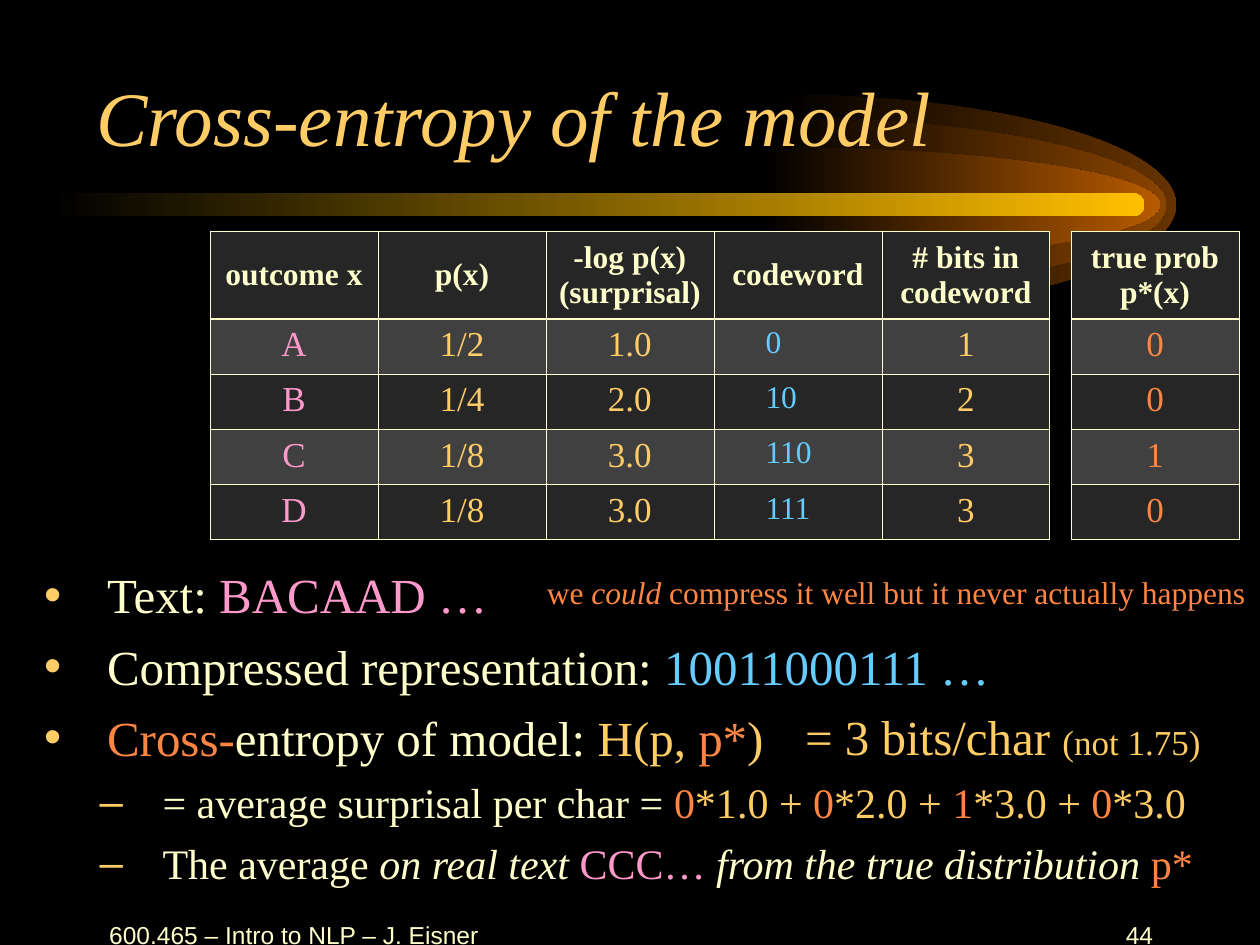
from lxml import etree
from pptx import Presentation
from pptx.dml.color import RGBColor
from pptx.enum.shapes import MSO_SHAPE
from pptx.enum.text import MSO_ANCHOR, MSO_AUTO_SIZE, PP_ALIGN
from pptx.oxml.ns import qn
from pptx.util import Inches, Pt

ROUNDED = MSO_SHAPE.ROUNDED_RECTANGLE
TOP, MIDDLE, BOTTOM = MSO_ANCHOR.TOP, MSO_ANCHOR.MIDDLE, MSO_ANCHOR.BOTTOM
LEFT, CENTER, RIGHT = PP_ALIGN.LEFT, PP_ALIGN.CENTER, PP_ALIGN.RIGHT
NO_FIT = MSO_AUTO_SIZE.NONE

BLACK = RGBColor(0x00, 0x00, 0x00)
CREAM = RGBColor(0xFF, 0xFF, 0xCC)
GOLD = RGBColor(0xFF, 0xCC, 0x66)
PINK = RGBColor(0xFF, 0x99, 0xCC)
BLUE = RGBColor(0x66, 0xCC, 0xFF)
ORANGE = RGBColor(0xFF, 0x85, 0x42)
DARK_ROW = RGBColor(0x26, 0x26, 0x26)
LIGHT_ROW = RGBColor(0x40, 0x40, 0x40)
BAR_GOLD = RGBColor(0xFF, 0xBF, 0x00)
GLOW_BROWN = RGBColor(0x66, 0x33, 0x00)
GLOW_RUST = RGBColor(0x89, 0x44, 0x00)
GLOW_AMBER = RGBColor(0xB7, 0x5B, 0x00)

SERIF, SANS = "Times New Roman", "Arial"

# The slide is a grid of 120 columns and 90 rows, twelve to the inch
COLUMNS, ROWS = 120, 90
TABLE_TOP, TABLE_COLUMN = 22, 16
HEADER_ROW, OUTCOME_ROW = 8.4, 5.25

OUTCOME_HEADERS = ["outcome x", "p(x)", "-log p(x)\n(surprisal)", "codeword",
                   "# bits in codeword"]
OUTCOMES = [
    ["A", "1/2", "1.0", "0", "1"],
    ["B", "1/4", "2.0", "10", "2"],
    ["C", "1/8", "3.0", "110", "3"],
    ["D", "1/8", "3.0", "111", "3"],
]
OUTCOME_COLORS = [PINK, GOLD, GOLD, BLUE, GOLD]
TRUE_PROBS = [["0"], ["0"], ["1"], ["0"]]

# Each bullet is its level and its runs: text, colour, italic
BULLETS = [
    (0, [("Text: ", CREAM, False), ("BACAAD …", PINK, False)]),
    (0, [("Compressed representation: ", CREAM, False),
         ("10011000111 …", BLUE, False)]),
    (0, [("Cross-", ORANGE, False), ("entropy of model: ", CREAM, False),
         ("H(p, ", GOLD, False), ("p*", ORANGE, False), (")", GOLD, False)]),
    (1, [("= average surprisal per char = ", CREAM, False),
         ("0", ORANGE, False), ("*1.0 + ", GOLD, False),
         ("0", ORANGE, False), ("*2.0 + ", GOLD, False),
         ("1", ORANGE, False), ("*3.0 + ", GOLD, False),
         ("0", ORANGE, False), ("*3.0", GOLD, False)]),
    (1, [("The average ", CREAM, False), ("on real text ", CREAM, True),
         ("CCC… ", PINK, False), ("from the true distribution ", CREAM, True),
         ("p*", ORANGE, False)]),
]
# Per level: size, space before, bullet character, left margin in inches
BULLET_STYLES = [(28, 7, "•", 0.5), (24, 6, "–", 0.94)]


def grid(*units):
    return [Inches(unit / 12) for unit in units]


def style_font(font, size, color, name=SERIF, bold=False, italic=False):
    font.name, font.size = name, Pt(size)
    font.bold, font.italic = bold, italic
    font.color.rgb = color


def place(shape, box):
    shape.left, shape.top, shape.width, shape.height = grid(*box)


def glow_fill(shape, color):
    """Fade from black on the left to the colour, without outline."""
    shape.shadow.inherit = False
    shape.line.fill.background()
    shape.fill.gradient()
    shape.fill.gradient_angle = 0
    for stop, stop_color in zip(shape.fill.gradient_stops, (BLACK, color)):
        stop.color.rgb = stop_color


def bend(line, points):
    """Turn a straight segment of a freeform into a Bézier curve."""
    curve = etree.Element(qn("a:cubicBezTo"))
    for x, y in points:
        etree.SubElement(curve, qn("a:pt"), x=str(round(x)), y=str(round(y)))
    line.getparent().replace(line, curve)


def add_half_ellipse(shapes, right, height, color):
    center_y, radius_x, kappa = 19.5, 37.8, 0.55
    left, top = right - radius_x, center_y - height / 2
    builder = shapes.build_freeform(*grid(left, top))
    builder.add_line_segments([grid(right, center_y),
                               grid(left, top + height)], close=True)
    shape = builder.convert_to_shape()
    w, h = shape.width, shape.height
    upper, lower = list(shape._element.iter(qn("a:lnTo")))
    bend(upper, [(w * kappa, 0), (w, h / 2 * (1 - kappa)), (w, h / 2)])
    bend(lower, [(w, h / 2 * (1 + kappa)), (w * kappa, h), (0, h)])
    glow_fill(shape, color)


def add_comet(shapes):
    for right, height, color in [(112, 21, GLOW_BROWN),
                                 (111.1, 16.7, GLOW_RUST),
                                 (110.5, 11, GLOW_AMBER)]:
        add_half_ellipse(shapes, right, height, color)
    tail = shapes.add_shape(ROUNDED, *grid(5, 18.4, 104, 2.2))
    tail.adjustments[0] = 0.5
    glow_fill(tail, BAR_GOLD)


def set_borders(cell, is_header, below_header):
    properties = cell._tc.get_or_add_tcPr()
    thick = {"T": below_header, "B": is_header}
    for position, side in enumerate("LRTB"):
        width = Pt(1.47 if thick.get(side) else 0.45)
        line = etree.Element(qn("a:ln" + side), w=str(width))
        fill = etree.SubElement(line, qn("a:solidFill"))
        etree.SubElement(fill, qn("a:srgbClr"), val=str(CREAM))
        properties.insert(position, line)


def add_outcome_table(shapes, left, headers, outcomes, colors):
    rows = [headers] + outcomes
    height = HEADER_ROW + OUTCOME_ROW * len(outcomes)
    box = grid(left, TABLE_TOP, TABLE_COLUMN * len(headers), height)
    table = shapes.add_table(len(rows), len(headers), *box).table
    table.first_row = table.horz_banding = False
    for r, texts in enumerate(rows):
        is_header = r == 0
        table.rows[r].height = grid(HEADER_ROW if is_header else OUTCOME_ROW)[0]
        for c, text in enumerate(texts):
            cell = table.cell(r, c)
            cell.text = text
            cell.fill.solid()
            cell.fill.fore_color.rgb = LIGHT_ROW if r % 2 else DARK_ROW
            cell.vertical_anchor = MIDDLE if is_header else TOP
            is_code = colors[c] == BLUE and not is_header
            if is_code:
                cell.margin_left = Inches(0.41)
            for paragraph in cell.text_frame.paragraphs:
                paragraph.alignment = LEFT if is_code else CENTER
                style_font(paragraph.font, 18 if is_header or is_code else 20,
                           CREAM if is_header else colors[c], bold=is_header)
            set_borders(cell, is_header, r == 1)


def add_text(shapes, box, runs, color, name=SERIF, align=LEFT, anchor=TOP):
    """Add one line; each run is its text, size and italic."""
    frame = shapes.add_textbox(*grid(*box)).text_frame
    frame.word_wrap = True
    frame.vertical_anchor = anchor
    paragraph = frame.paragraphs[0]
    paragraph.alignment = align
    for text, size, italic in runs:
        run = paragraph.add_run()
        run.text = text
        style_font(run.font, size, color, name, italic=italic)


def fill_title(title):
    place(title, (8, 1, 102, 15))
    frame = title.text_frame
    frame.text = "Cross-entropy of the model"
    frame.auto_size, frame.vertical_anchor = NO_FIT, BOTTOM
    frame.paragraphs[0].alignment = LEFT
    style_font(frame.paragraphs[0].font, 44, GOLD, italic=True)


def set_bullet(paragraph, character, margin):
    properties = paragraph._p.get_or_add_pPr()
    properties.set("marL", str(Inches(margin)))
    properties.set("indent", str(Inches(-0.5)))
    color = etree.Element(qn("a:buClr"))
    etree.SubElement(color, qn("a:srgbClr"), val=str(GOLD))
    bullet = etree.Element(qn("a:buChar"), char=character)
    defaults = properties.find(qn("a:defRPr"))
    for element in (color, bullet):
        defaults.addprevious(element)


def fill_bullets(body):
    place(body, (3, 53.2, 117, 38))
    frame = body.text_frame
    frame.auto_size, frame.vertical_anchor = NO_FIT, TOP
    for index, (level, runs) in enumerate(BULLETS):
        paragraph = frame.add_paragraph() if index else frame.paragraphs[0]
        size, space, character, margin = BULLET_STYLES[level]
        paragraph.level = level
        paragraph.space_before = Pt(space)
        paragraph.font.name, paragraph.font.size = SERIF, Pt(size)
        set_bullet(paragraph, character, margin)
        for text, color, italic in runs:
            run = paragraph.add_run()
            run.text = text
            run.font.color.rgb = color
            run.font.italic = italic


def main():
    presentation = Presentation()
    presentation.slide_width, presentation.slide_height = grid(COLUMNS, ROWS)
    slide = presentation.slides.add_slide(presentation.slide_layouts[1])
    slide.background.fill.solid()
    slide.background.fill.fore_color.rgb = BLACK
    shapes = slide.shapes
    title, body = shapes.title, slide.placeholders[1]

    # Comet behind the title
    add_comet(shapes)
    shapes._spTree.append(title._element)
    fill_title(title)

    # Footer
    add_text(shapes, (9, 86, 38, 6),
             [("600.465 – Intro to NLP – J. Eisner", 14, False)],
             CREAM, SANS, CENTER, MIDDLE)
    add_text(shapes, (86, 86, 25, 6), [("44", 14, False)],
             CREAM, SANS, RIGHT, MIDDLE)

    # Model, bullets and true distribution
    add_outcome_table(shapes, 20, OUTCOME_HEADERS, OUTCOMES, OUTCOME_COLORS)
    shapes._spTree.append(body._element)
    fill_bullets(body)
    add_outcome_table(shapes, 102, ["true prob p*(x)"], TRUE_PROBS, [ORANGE])

    # Remarks beside the bullets
    add_text(shapes, (50.9, 54, 69.1, 4.8),
             [("we ", 18, False), ("could", 18, True),
              (" compress it well but it never actually happens", 18, False)],
             ORANGE)
    add_text(shapes, (75.5, 66.7, 42.6, 6.8),
             [("= 3 bits/char ", 28, False), ("(not 1.75)", 20, False)], GOLD)

    presentation.save("out.pptx")


if __name__ == "__main__":
    main()
